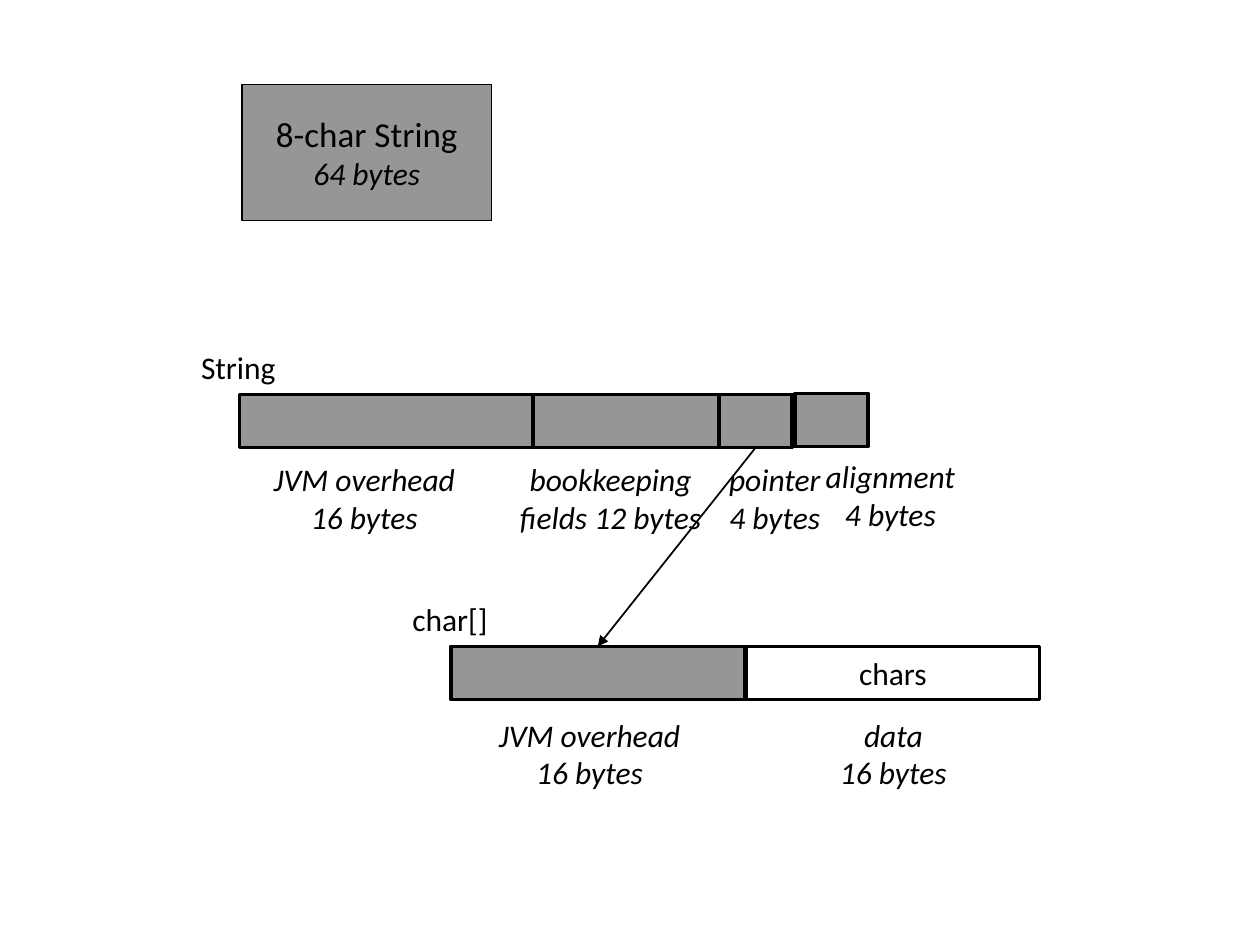
from dataclasses import dataclass

from lxml import etree
from pptx import Presentation
from pptx import util as u
from pptx.dml.color import RGBColor
from pptx.enum import shapes, text
from pptx.oxml import ns


@dataclass(frozen=True)
class Theme:
    font: str = "Calibri"
    ink: RGBColor = RGBColor(0x00, 0x00, 0x00)
    grey: RGBColor = RGBColor(0x96, 0x96, 0x96)
    title_size: int = 20
    body_size: int = 18
    thin: float = 0.75
    arrow: float = 1
    thick: float = 2


theme = Theme()
presentation = Presentation()
presentation.slide_width, presentation.slide_height = u.Cm(25.4), u.Cm(19.05)
slide = presentation.slides.add_slide(presentation.slide_layouts[6])


def add_box(left, top, width, height, fill=None, line=None):
    shape = slide.shapes.add_shape(
        shapes.MSO_SHAPE.FLOWCHART_PROCESS,
        u.Cm(left), u.Cm(top), u.Cm(width), u.Cm(height))
    shape.shadow.inherit = False
    if fill is None:
        shape.fill.background()
    else:
        shape.fill.solid()
        shape.fill.fore_color.rgb = fill
    if line is None:
        shape.line.fill.background()
    else:
        shape.line.color.rgb = theme.ink
        shape.line.width = u.Pt(line)
    return shape


def write_text(shape, content, sizes=(theme.body_size,), italics=(False,), grow=False):
    """Write one centred paragraph per line; the last format repeats."""
    frame = shape.text_frame
    frame.word_wrap = False
    frame.vertical_anchor = text.MSO_ANCHOR.MIDDLE
    if grow:
        frame.auto_size = text.MSO_AUTO_SIZE.SHAPE_TO_FIT_TEXT
    for index, line in enumerate(content.split("\n")):
        paragraph = frame.paragraphs[0] if index == 0 else frame.add_paragraph()
        paragraph.alignment = text.PP_ALIGN.CENTER
        run = paragraph.add_run()
        run.text = line
        run.font.name = theme.font
        run.font.color.rgb = theme.ink
        run.font.size = u.Pt(sizes[min(index, len(sizes) - 1)])
        run.font.italic = italics[min(index, len(italics) - 1)]


# Total size of the string
total = add_box(4.88, 1.7, 5.03, 2.74, theme.grey, theme.thin)
write_text(total, "8-char String\n64 bytes",
           sizes=(theme.title_size, theme.body_size), italics=(False, True))

# Memory cells of both objects, from back to front
cell_height, string_top, array_top = 1.07, 7.95, 13.03
cells = {}
for name, left, top, width, fill in [
    ("chars", 15.04, array_top, 5.92, None),
    ("array overhead", 9.09, array_top, 5.92, theme.grey),
    ("pointer", 14.5, string_top, 1.47, theme.grey),
    ("bookkeeping", 10.69, string_top, 3.81, theme.grey),
    ("string overhead", 4.83, string_top, 5.92, theme.grey),
    ("alignment", 16.03, string_top - 0.02, 1.47, theme.grey),
]:
    cells[name] = add_box(left, top, width, cell_height, fill, theme.thick)
write_text(cells["chars"], "chars")

# Object names
for content, left, top, width in [
    ("String", 3.66, 6.88, 2.29),
    ("char[]", 7.95, 11.96, 2.24),
]:
    write_text(add_box(left, top, width, 1.02), content, grow=True)

# Captions below the cells
for content, left, top, width in [
    ("JVM overhead\n16 bytes", 5.16, 9.14, 4.37),
    ("bookkeeping\nfields 12 bytes", 10.06, 9.14, 4.5),
    ("pointer\n4 bytes", 14.35, 9.14, 2.54),
    ("alignment\n4 bytes", 16.26, 9.09, 3.38),
    ("JVM overhead\n16 bytes", 9.7, 14.3, 4.37),
    ("data\n16 bytes", 16.59, 14.3, 2.84),
]:
    write_text(add_box(left, top, width, 1.78), content, italics=(True,), grow=True)

# Arrow from the pointer to the char array
arrow = slide.shapes.add_connector(shapes.MSO_CONNECTOR.STRAIGHT, 0, 0, 0, 0)
arrow.begin_connect(cells["pointer"], 2)
arrow.end_connect(cells["array overhead"], 0)
arrow.line.color.rgb = theme.ink
arrow.line.width = u.Pt(theme.arrow)
etree.SubElement(arrow.line._get_or_add_ln(), ns.qn("a:tailEnd"), type="triangle")
etree.SubElement(arrow._element.spPr, ns.qn("a:effectLst"))

presentation.save("out.pptx")
